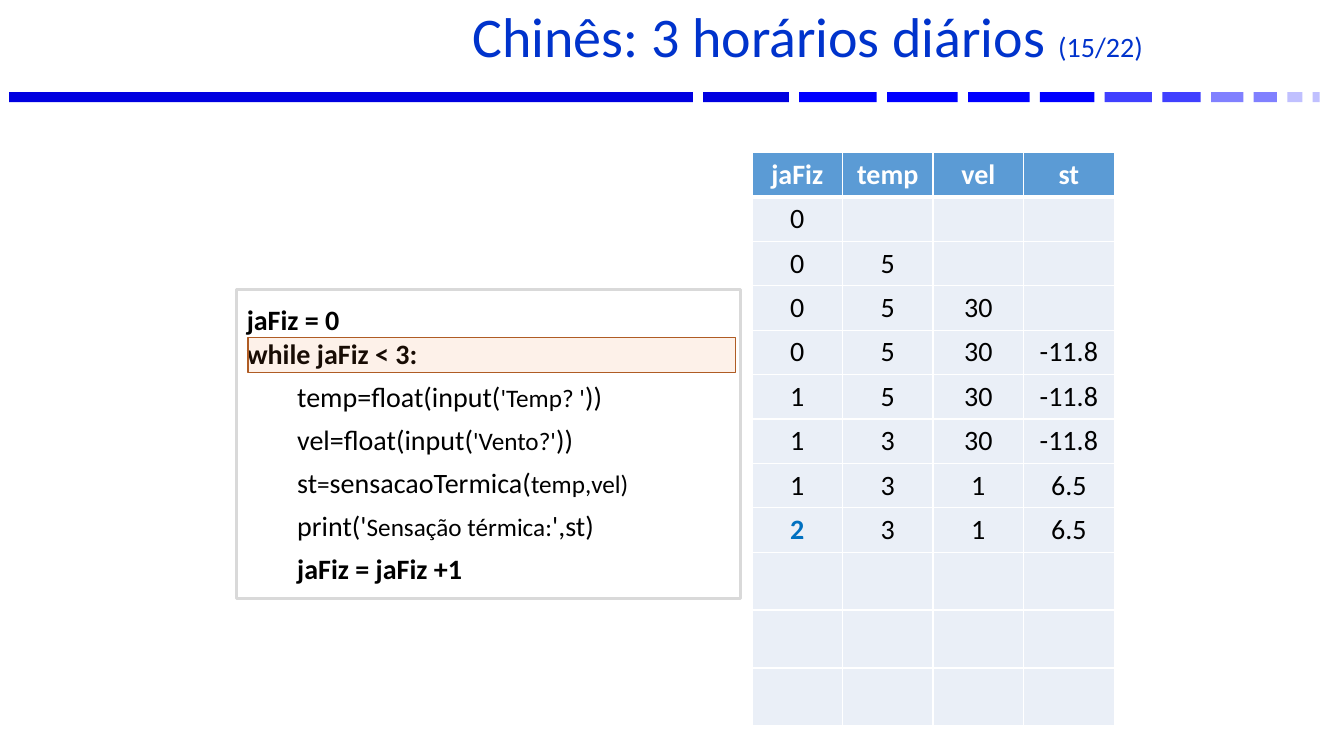
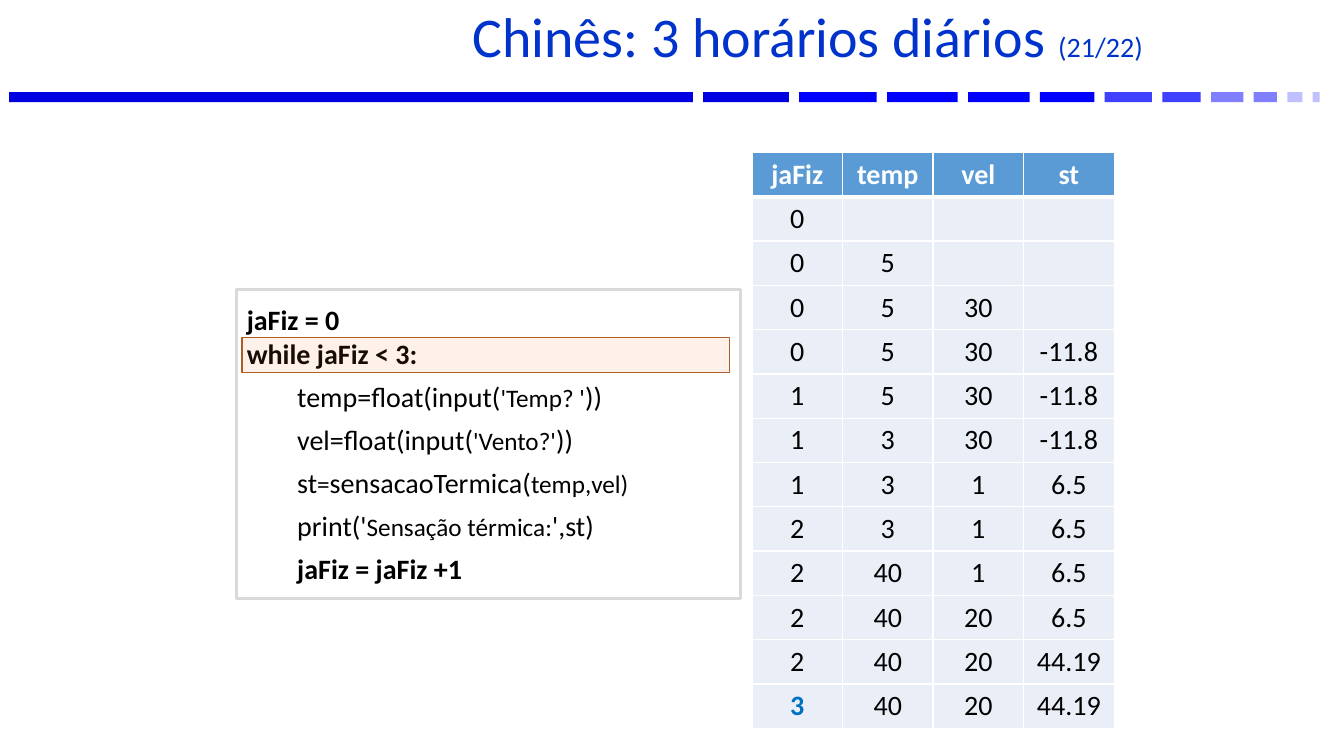
from dataclasses import dataclass

from lxml.etree import SubElement
from pptx import Presentation
from pptx.dml.color import RGBColor
from pptx.enum.shapes import MSO_SHAPE
from pptx.enum.text import MSO_ANCHOR, PP_ALIGN
from pptx.oxml.ns import qn
from pptx.shapes.autoshape import Shape
from pptx.slide import Slide
from pptx.table import _Cell
from pptx.text.text import _Run
from pptx.util import Pt

FONT = "Calibri"
COLORS = {
    "title": "0033CC",
    "text": "000000",
    "white": "FFFFFF",
    "header": "5B9BD5",
    "cell": "EAEFF7",
    "newest": "0070C0",
    "box_line": "D9D9D9",
    "marker": "ED7D31",
    "marker_line": "AF5C24",
    "band_dark": "0000E0",
    "band_full": "0000FF",
    "band_medium": "4040FF",
    "band_light": "8080FF",
    "band_pale": "C0C0FF",
}
BAND_LEFT, BAND_TOP, BAND_HEIGHT, BAND_GAP = 6.5, 65.8, 7.2, 7.4
ROW_HEIGHT, EMPTY_ROW_HEIGHT, COLUMN_WIDTH = 31.65, 41.4, 64.7


@dataclass(frozen=True)
class BandSegment:
    """One dash of the band below the title."""

    width: float
    color: str


@dataclass(frozen=True)
class CodeLine:
    """A line of code as (text, size) pieces."""

    pieces: tuple[tuple[str, int], ...]
    bold: bool = False
    indented: bool = True


@dataclass(frozen=True)
class TraceSlide:
    """What differs from one slide to the next."""

    page: str
    steps: int
    empty_rows: int
    marker_left: float


BAND = (
    BandSegment(488.4, "band_dark"),
    BandSegment(61.2, "band_dark"),
    BandSegment(55.4, "band_full"),
    BandSegment(50.4, "band_full"),
    BandSegment(43.9, "band_full"),
    BandSegment(38.9, "band_full"),
    BandSegment(33.8, "band_medium"),
    BandSegment(27.4, "band_medium"),
    BandSegment(23, "band_light"),
    BandSegment(16.6, "band_light"),
    BandSegment(10.8, "band_pale"),
    BandSegment(5, "band_pale"),
)
CODE = (
    CodeLine((("jaFiz = 0", 20),), bold=True, indented=False),
    CodeLine((("while jaFiz < 3:", 20),), bold=True, indented=False),
    CodeLine((("temp=float(input(", 20), ("'Temp? '", 18), ("))", 20))),
    CodeLine((("vel=float(input(", 20), ("'Vento?'", 18), ("))", 20))),
    CodeLine((("st", 20), ("=", 18), ("sensacaoTermica(", 20), ("temp,vel)", 18))),
    CodeLine((("print('", 20), ("Sensação térmica:", 18), ("',st)", 20))),
    CodeLine((("jaFiz = jaFiz +1", 20),), bold=True),
)
HEADINGS = ("jaFiz", "temp", "vel", "st")
TRACE = (
    ("0", "", "", ""),
    ("0", "5", "", ""),
    ("0", "5", "30", ""),
    ("0", "5", "30", "-11.8"),
    ("1", "5", "30", "-11.8"),
    ("1", "3", "30", "-11.8"),
    ("1", "3", "1", "6.5"),
    ("2", "3", "1", "6.5"),
    ("2", "40", "1", "6.5"),
    ("2", "40", "20", "6.5"),
    ("2", "40", "20", "44.19"),
    ("3", "40", "20", "44.19"),
)
SLIDES = (
    TraceSlide("(15/22)", steps=8, empty_rows=3, marker_left=177.1),
    TraceSlide("(21/22)", steps=12, empty_rows=0, marker_left=172.8),
)


def rgb(name: str) -> RGBColor:
    """Return the named colour."""
    return RGBColor.from_string(COLORS[name])


def format_run(run: _Run, size: float, color: str, bold: bool = False) -> None:
    """Set the font of a run."""
    run.font.name = FONT
    run.font.size = Pt(size)
    run.font.bold = bold
    run.font.color.rgb = rgb(color)


def add_rectangle(slide: Slide, left: float, top: float, width: float, height: float,
                  fill: str, line: str = "", line_width: float = 1) -> Shape:
    """Draw a flat rectangle, outlined when a line colour is given."""
    shape = slide.shapes.add_shape(
        MSO_SHAPE.RECTANGLE, Pt(left), Pt(top), Pt(width), Pt(height))
    shape.shadow.inherit = False
    shape.fill.solid()
    shape.fill.fore_color.rgb = rgb(fill)
    if line:
        shape.line.color.rgb = rgb(line)
        shape.line.width = Pt(line_width)
    else:
        shape.line.fill.background()
    return shape


def add_band(slide: Slide) -> None:
    """Draw the dashes, equally spaced, below the title."""
    left = BAND_LEFT
    for segment in BAND:
        add_rectangle(slide, left, BAND_TOP, segment.width, BAND_HEIGHT, segment.color)
        left += segment.width + BAND_GAP


def add_title(slide: Slide, page: str) -> None:
    """Write the title and its smaller page count."""
    text_frame = slide.shapes.add_textbox(Pt(185), Pt(4.3), Pt(775), Pt(50.4)).text_frame
    text_frame.word_wrap = True
    text_frame.vertical_anchor = MSO_ANCHOR.MIDDLE
    paragraph = text_frame.paragraphs[0]
    paragraph.text = " Chinês: 3 horários diários "
    paragraph.alignment = PP_ALIGN.CENTER
    paragraph.line_spacing = 0.8
    paragraph.space_before = Pt(6)
    format_run(paragraph.runs[0], 40, "title")
    page_run = paragraph.add_run()
    page_run.text = page
    format_run(page_run, 20, "title")


def add_code(slide: Slide) -> None:
    """Draw the framed program."""
    shape = add_rectangle(slide, 169.2, 206.6, 360, 221, "white", "box_line", 2)
    text_frame = shape.text_frame
    text_frame.word_wrap = True
    text_frame.vertical_anchor = MSO_ANCHOR.MIDDLE
    text_frame.margin_left = text_frame.margin_right = Pt(7.2)
    text_frame.margin_top = text_frame.margin_bottom = Pt(0)
    text_frame.text = "\n".join("" for _ in CODE)
    for paragraph, line in zip(text_frame.paragraphs, CODE):
        paragraph.alignment = PP_ALIGN.LEFT
        if line.indented:
            paragraph.level = 1
            paragraph.line_spacing = 1.2
            paragraph.space_before = Pt(2)
            properties = paragraph._p.get_or_add_pPr()
            properties.set("marL", str(Pt(36)))
            properties.set("indent", "0")
        for text, size in line.pieces:
            run = paragraph.add_run()
            run.text = text
            format_run(run, size, "text", line.bold)


def add_marker(slide: Slide, left: float) -> None:
    """Draw the translucent bar over the line being run."""
    marker = add_rectangle(slide, left, 241.2, 348.5, 24.8, "marker", "marker_line")
    color = marker._element.spPr.find(qn("a:solidFill")).find(qn("a:srgbClr"))
    SubElement(color, qn("a:alpha"), val="10000")


def set_borders(cell: _Cell, top: float, bottom: float) -> None:
    """Give a cell white borders of the given widths."""
    properties = cell._tc.get_or_add_tcPr()
    for side, width in (("L", 1), ("R", 1), ("T", top), ("B", bottom)):
        line = SubElement(properties, qn(f"a:ln{side}"), w=str(Pt(width)))
        fill = SubElement(line, qn("a:solidFill"))
        SubElement(fill, qn("a:srgbClr"), val=COLORS["white"])


def format_cell(cell: _Cell, text: str, fill: str, color: str, bold: bool) -> None:
    """Fill a cell and write its centred text."""
    cell.fill.solid()
    cell.fill.fore_color.rgb = rgb(fill)
    cell.vertical_anchor = MSO_ANCHOR.MIDDLE
    if text:
        paragraph = cell.text_frame.paragraphs[0]
        paragraph.text = text
        paragraph.alignment = PP_ALIGN.CENTER
        format_run(paragraph.runs[0], 20, color, bold)


def add_trace(slide: Slide, steps: int, empty_rows: int) -> None:
    """Draw the variables step by step, with the newest counter in blue."""
    rows = (HEADINGS, *TRACE[:steps], *[("",) * len(HEADINGS)] * empty_rows)
    heights = [ROW_HEIGHT] * (steps + 1) + [EMPTY_ROW_HEIGHT] * empty_rows
    table = slide.shapes.add_table(
        len(rows), len(HEADINGS), Pt(537.1), Pt(108.9),
        Pt(COLUMN_WIDTH * len(HEADINGS)), Pt(sum(heights))).table
    for column in table.columns:
        column.width = Pt(COLUMN_WIDTH)
    for row_index, (values, height) in enumerate(zip(rows, heights)):
        table.rows[row_index].height = Pt(height)
        is_header = row_index == 0
        for column_index, value in enumerate(values):
            is_newest = row_index == steps and column_index == 0
            color = "white" if is_header else "newest" if is_newest else "text"
            cell = table.cell(row_index, column_index)
            set_borders(cell, 3 if row_index == 1 else 1, 3 if is_header else 1)
            format_cell(cell, value, "header" if is_header else "cell",
                        color, is_header or is_newest)


def main() -> None:
    """Build and save the presentation."""
    presentation = Presentation()
    presentation.slide_width = Pt(960)
    presentation.slide_height = Pt(540)
    for content in SLIDES:
        slide = presentation.slides.add_slide(presentation.slide_layouts[6])
        add_band(slide)
        add_trace(slide, content.steps, content.empty_rows)
        add_title(slide, content.page)
        add_code(slide)
        add_marker(slide, content.marker_left)
    presentation.save("out.pptx")


if __name__ == "__main__":
    main()
